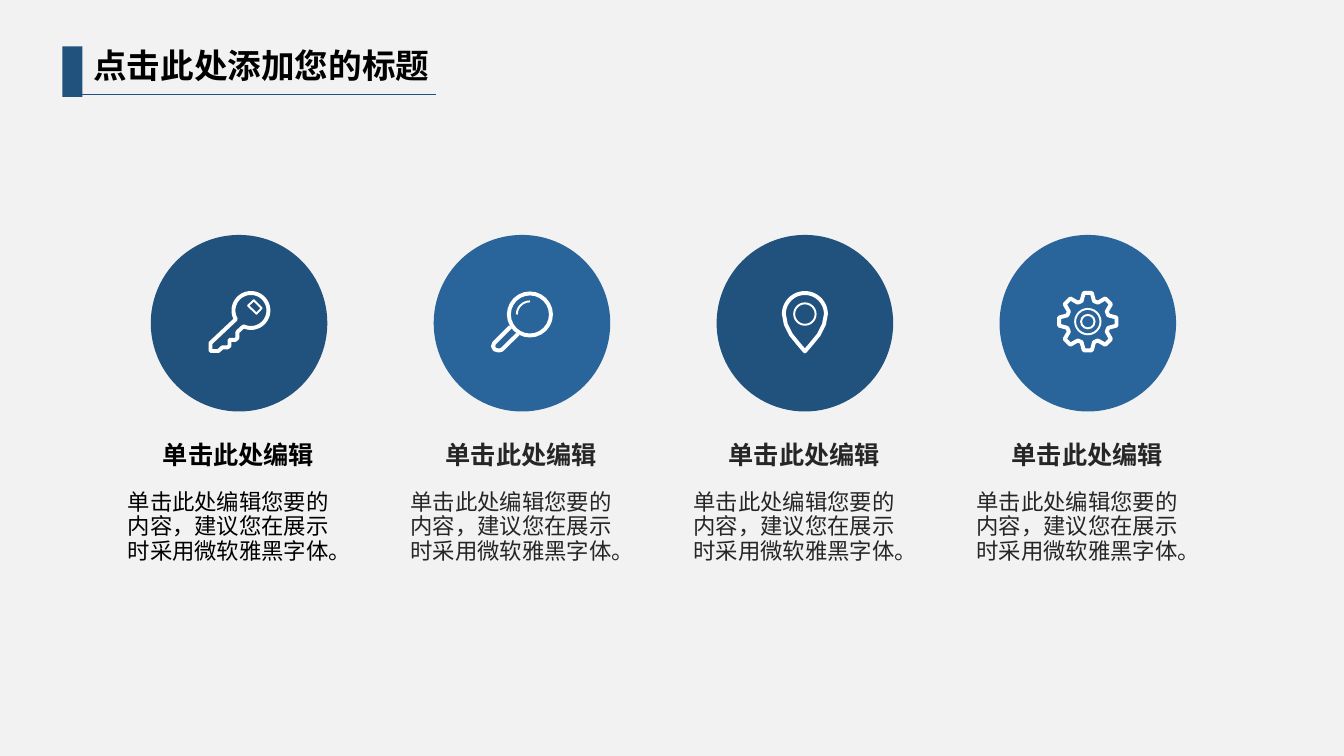
from dataclasses import dataclass
from math import cos, radians, sin

from pptx import Presentation
from pptx.dml.color import RGBColor
from pptx.enum.shapes import MSO_CONNECTOR, MSO_SHAPE
from pptx.enum.text import MSO_ANCHOR, MSO_AUTO_SIZE, PP_ALIGN
from pptx.oxml.xmlchemy import OxmlElement
from pptx.util import Cm, Pt

RECTANGLE, OVAL, ARC = MSO_SHAPE.RECTANGLE, MSO_SHAPE.OVAL, MSO_SHAPE.ARC
STRAIGHT = MSO_CONNECTOR.STRAIGHT
LEFT, CENTER = PP_ALIGN.LEFT, PP_ALIGN.CENTER
TOP, NO_AUTOFIT = MSO_ANCHOR.TOP, MSO_AUTO_SIZE.NONE


@dataclass(frozen=True)
class Theme:
    """Colours, type sizes and line widths of the slide."""
    font: str = "Noto Sans CJK SC"
    background: RGBColor = RGBColor(0xF2, 0xF2, 0xF2)
    dark_blue: RGBColor = RGBColor(0x21, 0x51, 0x7D)
    light_blue: RGBColor = RGBColor(0x29, 0x65, 0x9B)
    white: RGBColor = RGBColor(0xFF, 0xFF, 0xFF)
    black: RGBColor = RGBColor(0, 0, 0)
    gray: RGBColor = RGBColor(0x26, 0x26, 0x26)
    title: Pt = Pt(24)
    heading: Pt = Pt(18)
    body: Pt = Pt(16)
    thick: Pt = Pt(2.8)
    thin: Pt = Pt(1.4)
    rule: Pt = Pt(0.5)


THEME = Theme()
HEADING = "单击此处编辑"
BODY = "单击此处编辑您要的内容，建议您在展示时采用微软雅黑字体。"


def format_paragraph(paragraph, size, color, bold=False, align=LEFT):
    """Set alignment and font, for Latin and East Asian text alike."""
    paragraph.alignment = align
    font = paragraph.font
    font.size, font.bold, font.name = size, bold, THEME.font
    font.color.rgb = color
    east_asian = OxmlElement("a:ea")
    east_asian.set("typeface", THEME.font)
    paragraph._p.pPr.defRPr.append(east_asian) if hasattr(
        paragraph._p.pPr, "defRPr") else paragraph._p.pPr[-1].append(east_asian)


def add_filled(slide, kind, left, top, width, height, color):
    """Add a plain filled shape."""
    shape = slide.shapes.add_shape(kind, Cm(left), Cm(top), Cm(width), Cm(height))
    shape.shadow.inherit = False
    shape.fill.solid()
    shape.fill.fore_color.rgb = color
    shape.line.fill.background()


def add_text(slide, left, top, width, height, text, line_spacing, wrap=True, **style):
    """Add a text box without margins."""
    frame = slide.shapes.add_textbox(Cm(left), Cm(top), Cm(width), Cm(height)).text_frame
    frame.margin_left = frame.margin_right = frame.margin_top = frame.margin_bottom = 0
    frame.word_wrap = wrap
    paragraph = frame.paragraphs[0]
    paragraph.text = text
    paragraph.line_spacing = line_spacing
    format_paragraph(paragraph, **style)


def outline(shape, width):
    """Give a shape a white outline and no fill."""
    shape.shadow.inherit = False
    shape.fill.background()
    shape.line.color.rgb = THEME.white
    shape.line.width = width


def add_ring(slide, x, y, radius, width, kind=OVAL):
    """Add an outlined circle or arc around a centre and return it."""
    shape = slide.shapes.add_shape(
        kind, Cm(x - radius), Cm(y - radius), Cm(2 * radius), Cm(2 * radius))
    outline(shape, width)
    return shape


def add_outline(slide, x, y, points, width, close=True):
    """Add an outlined polygon whose points are offsets from a centre."""
    start, *rest = [(Cm(x + dx), Cm(y + dy)) for dx, dy in points]
    builder = slide.shapes.build_freeform(*start)
    builder.add_line_segments(rest, close=close)
    outline(builder.convert_to_shape(), width)


def polar(radius, angle):
    """Return the offset at a clockwise angle from the right."""
    return radius * cos(radians(angle)), radius * sin(radians(angle))


def draw_key(slide, x, y):
    """Draw a key around a centre."""
    bow = [(0.3 + dx, -0.32 + dy)
           for dx, dy in (polar(0.44, angle) for angle in range(150, 476, 5))]
    blade = [(-0.04, 0.22), (-0.04, 0.37), (-0.09, 0.42), (-0.24, 0.42),
             (-0.24, 0.57), (-0.29, 0.61), (-0.42, 0.61), (-0.52, 0.7),
             (-0.72, 0.7), (-0.72, 0.5)]
    window = [(0.23, -0.44), (0.37, -0.58), (0.57, -0.38), (0.44, -0.24)]
    add_outline(slide, x, y, bow + blade, THEME.thick)
    add_outline(slide, x, y, window, THEME.thin)


def draw_magnifier(slide, x, y):
    """Draw a magnifying glass around a centre."""
    handle = [(-0.29, 0.09), (-0.7, 0.5), (-0.73, 0.58), (-0.69, 0.66),
              (-0.59, 0.69), (-0.51, 0.67), (-0.1, 0.27)]
    add_outline(slide, x, y, handle, THEME.thick, close=False)
    add_ring(slide, x + 0.2, y - 0.22, 0.53, THEME.thick)
    glare = add_ring(slide, x + 0.2, y - 0.22, 0.33, THEME.thin, ARC)
    glare.adjustments[0], glare.adjustments[1] = 108, 162


def draw_pin(slide, x, y):
    """Draw a map pin around a centre."""
    side = [(0.48, 0.26), (0.35, 0.52), (0.17, 0.74)]
    head = [polar(0.53, angle) for angle in range(180, 361, 5)]
    mirrored = [(-dx, dy) for dx, dy in reversed(side)]
    add_outline(slide, x, y - 0.23, head + side + [(0, 0.94)] + mirrored, THEME.thick)
    add_ring(slide, x, y - 0.23, 0.27, THEME.thin)


def draw_gear(slide, x, y):
    """Draw a gear of eight teeth around a centre."""
    tooth = [(0.54, -17), (0.73, -8), (0.73, 8), (0.54, 17)]
    points = [polar(radius, middle + turn)
              for middle in range(0, 360, 45) for radius, turn in tooth]
    add_outline(slide, x, y - 0.04, points, THEME.thick)
    for radius in (0.32, 0.17):
        add_ring(slide, x, y - 0.04, radius, THEME.thin)


def add_title(slide, left, top):
    """Place the title with its bar and rule."""
    rule = slide.shapes.add_connector(
        STRAIGHT, Cm(left + 0.36), Cm(top + 1.22), Cm(left + 9.42), Cm(top + 1.22))
    rule.line.color.rgb = THEME.dark_blue
    rule.line.width = THEME.rule
    rule._element.spPr.append(OxmlElement("a:effectLst"))
    add_filled(slide, RECTANGLE, left, top, 0.51, 1.27, THEME.dark_blue)
    title = slide.shapes.title
    title.left, title.top = Cm(left + 0.53), Cm(top - 0.16)
    title.width, title.height = Cm(9.96), Cm(1.27)
    frame = title.text_frame
    frame.vertical_anchor, frame.auto_size = TOP, NO_AUTOFIT
    frame.text = "点击此处添加您的标题"
    format_paragraph(frame.paragraphs[0], THEME.title, THEME.black, bold=True)


def add_column(slide, left, top, disc_color, text_color, draw_icon):
    """Place a disc with its icon, heading and body text."""
    diameter = 4.45
    add_filled(slide, OVAL, left, top, diameter, diameter, disc_color)
    draw_icon(slide, left + diameter / 2, top + diameter / 2)
    add_text(slide, left + 0.29, top + 5.26, 3.84, 0.69, HEADING, Pt(18.7), wrap=False,
             size=THEME.heading, color=text_color, bold=True, align=CENTER)
    add_text(slide, left - 0.58, top + 6.45, 5.59, 1.83, BODY, Pt(17.3),
             size=THEME.body, color=text_color)


def main():
    """Build and save the presentation."""
    presentation = Presentation()
    presentation.slide_width, presentation.slide_height = Cm(33.87), Cm(19.05)
    slide = presentation.slides.add_slide(presentation.slide_layouts[5])
    slide.background.fill.solid()
    slide.background.fill.fore_color.rgb = THEME.background
    add_title(slide, 1.57, 1.17)
    columns = [
        (THEME.dark_blue, THEME.black, draw_key),
        (THEME.light_blue, THEME.gray, draw_magnifier),
        (THEME.dark_blue, THEME.gray, draw_pin),
        (THEME.light_blue, THEME.gray, draw_gear),
    ]
    for index, column in enumerate(columns):
        add_column(slide, 3.8 + 7.13 * index, 5.92, *column)
    presentation.save("out.pptx")


if __name__ == "__main__":
    main()
